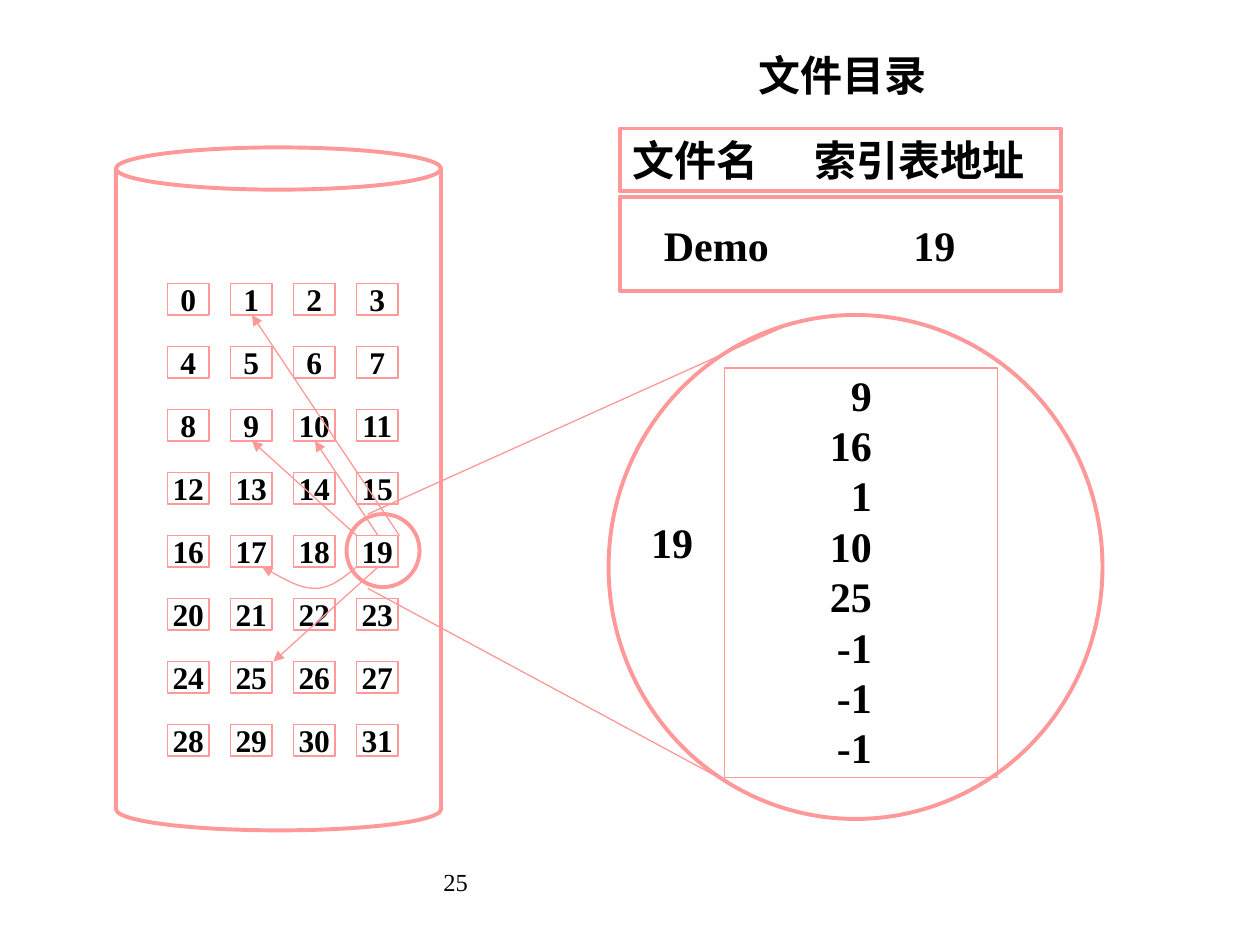
from dataclasses import dataclass
from typing import Any, Optional

import pptx
import pptx.dml.color
import pptx.enum.shapes
import pptx.enum.text
import pptx.oxml
import pptx.oxml.ns
import pptx.util

Inches = pptx.util.Inches
Pt = pptx.util.Pt
Shape = pptx.enum.shapes.MSO_SHAPE
Align = pptx.enum.text.PP_ALIGN
Anchor = pptx.enum.text.MSO_ANCHOR

PINK = "FF9999"
BLACK = "000000"
THIN, THICK = 0.75, 2.25
NAMESPACE = pptx.oxml.ns.nsdecls("a")


@dataclass
class Box:
    left: float
    top: float
    width: float
    height: float

    def lengths(self) -> list:
        return [Inches(n) for n in (self.left, self.top, self.width, self.height)]


@dataclass
class Link:
    start: tuple
    end: tuple
    arrow: bool = True


def color(value: str) -> pptx.dml.color.RGBColor:
    return pptx.dml.color.RGBColor.from_string(value)


def apply_format(target: Any, values: dict) -> None:
    for name, value in values.items():
        setattr(target, name, value)


def element(markup: str) -> Any:
    return pptx.oxml.parse_xml(markup)


def style_line(line: Any, width: float, arrow: bool = False) -> None:
    line.color.rgb = color(PINK)
    line.width = Pt(width)
    if arrow:
        line._get_or_add_ln().append(element(f'<a:tailEnd {NAMESPACE} type="triangle"/>'))


def write(shape: Any, lines: list, size: float = 24, bold: bool = True,
          align: Any = Align.LEFT, anchor: Any = Anchor.TOP, wrap: bool = False,
          tab: Optional[float] = None, spacing: Optional[float] = None) -> None:
    frame = shape.text_frame
    frame.text = "\n".join(lines)
    apply_format(frame, {
        "word_wrap": wrap, "vertical_anchor": anchor,
        "auto_size": pptx.enum.text.MSO_AUTO_SIZE.NONE,
        "margin_left": Inches(0.1), "margin_right": Inches(0.1),
        "margin_top": Inches(0.05), "margin_bottom": Inches(0.05)})
    for paragraph in frame.paragraphs:
        properties = paragraph._p.get_or_add_pPr()
        if shape.is_placeholder:
            properties.set("marL", "0")
            properties.set("indent", "0")
            properties.append(element(f"<a:buNone {NAMESPACE}/>"))
        if tab is not None:
            properties.append(element(
                f'<a:tabLst {NAMESPACE}><a:tab pos="{Inches(tab)}" algn="l"/></a:tabLst>'))
        apply_format(paragraph, {"alignment": align, "space_before": Pt(0)})
        if spacing is not None:
            paragraph.line_spacing = Pt(spacing)
        for run in paragraph.runs:
            apply_format(run.font, {"name": "Times New Roman", "size": Pt(size), "bold": bold})
            run.font.color.rgb = color(BLACK)


def add_outline(slide: Any, kind: Any, box: Box, width: float) -> Any:
    shape = slide.shapes.add_shape(kind, *box.lengths())
    shape.shadow.inherit = False
    shape.fill.background()
    style_line(shape.line, width)
    return shape


def add_text(slide: Any, box: Box, text: str, **style: Any) -> None:
    write(slide.shapes.add_textbox(*box.lengths()), [text], **style)


def fill_placeholder(shape: Any, box: Box, lines: list, **style: Any) -> None:
    apply_format(shape, dict(zip(("left", "top", "width", "height"), box.lengths())))
    write(shape, lines, **style)


def add_link(slide: Any, link: Link) -> None:
    connector = slide.shapes.add_connector(
        pptx.enum.shapes.MSO_CONNECTOR.STRAIGHT,
        *[Inches(n) for n in link.start + link.end])
    style_line(connector.line, THIN, link.arrow)
    connector._element.spPr.append(element(f"<a:effectLst {NAMESPACE}/>"))


def add_curved_arrow(slide: Any, points: list) -> None:
    """The first point is the start; each further three make a Bezier segment."""
    corners = [(Inches(x), Inches(y)) for x, y in points]
    builder = slide.shapes.build_freeform(*corners[0])
    builder.add_line_segments(corners[1:], close=False)
    shape = builder.convert_to_shape()
    shape.shadow.inherit = False
    shape.fill.background()
    style_line(shape.line, THIN, arrow=True)
    segments = list(shape._element.iter(pptx.oxml.ns.qn("a:lnTo")))
    for first in range(0, len(segments), 3):
        curve = element(f"<a:cubicBezTo {NAMESPACE}/>")
        segments[first].addprevious(curve)
        for segment in segments[first:first + 3]:
            curve.append(segment[0])
            segment.getparent().remove(segment)


def main() -> None:
    presentation = pptx.Presentation()
    presentation.slide_width, presentation.slide_height = Inches(10), Inches(7.5)
    slide = presentation.slides.add_slide(presentation.slide_layouts[1])

    # Title and index block entries
    fill_placeholder(slide.shapes.title, Box(5.92, 0.34, 1.7, 0.5), ["文件目录"], wrap=True)
    fill_placeholder(slide.placeholders[1], Box(6.46, 2.88, 0.56, 3.3),
                     ["9", "16", "1", "10", "25", "-1", "-1", "-1"],
                     align=Align.RIGHT, spacing=28.8)

    # Slide number
    add_text(slide, Box(3.42, 6.83, 3.17, 0.5), "25", size=14, bold=False)

    # Disk with its numbered blocks
    columns, rows = 4, 8
    for number in range(columns * rows):
        row, column = divmod(number, columns)
        block = add_outline(slide, Shape.RECTANGLE,
                            Box(1.33 + 0.5 * column, 2.25 + 0.5 * row, 0.33, 0.25), THIN)
        write(block, [str(number)], size=18, align=Align.CENTER, anchor=Anchor.MIDDLE)
    disk = add_outline(slide, Shape.CAN, Box(0.92, 1.17, 2.58, 5.42), THICK)
    disk.adjustments[0] = 0.13

    # File directory
    header = add_outline(slide, Shape.RECTANGLE, Box(4.92, 1.02, 3.5, 0.5), THICK)
    write(header, ["文件名\t索引表地址"], anchor=Anchor.MIDDLE, wrap=True, tab=1.45)
    add_outline(slide, Shape.RECTANGLE, Box(4.92, 1.56, 3.5, 0.75), THICK)
    add_text(slide, Box(5.17, 1.69, 2.92, 0.5), "Demo\t19", wrap=True, tab=1.98)

    # Arrows from the index block to the data blocks
    add_outline(slide, Shape.OVAL, Box(2.75, 4.08, 0.58, 0.58), THICK)
    for link in (Link((3.17, 4.25), (2, 2.5)), Link((3, 4.25), (2.5, 3.5)),
                 Link((2.83, 4.25), (2, 3.5)), Link((3, 4.5), (2.17, 5.25))):
        add_link(slide, link)
    add_curved_arrow(slide, [(2.83, 4.5), (2.73, 4.58), (2.63, 4.67), (2.5, 4.67),
                             (2.38, 4.67), (2.23, 4.58), (2.08, 4.5)])

    # Enlarged view of the index block
    add_outline(slide, Shape.RECTANGLE, Box(5.75, 2.92, 2.17, 3.25), THIN)
    add_outline(slide, Shape.OVAL, Box(4.83, 2.5, 3.92, 4), THICK)
    add_text(slide, Box(5.07, 4.05, 0.53, 0.5), "19")
    for link in (Link((2.92, 4.08), (6.25, 2.58), arrow=False),
                 Link((2.92, 4.67), (6, 6.33), arrow=False)):
        add_link(slide, link)

    presentation.save("out.pptx")


if __name__ == "__main__":
    main()
